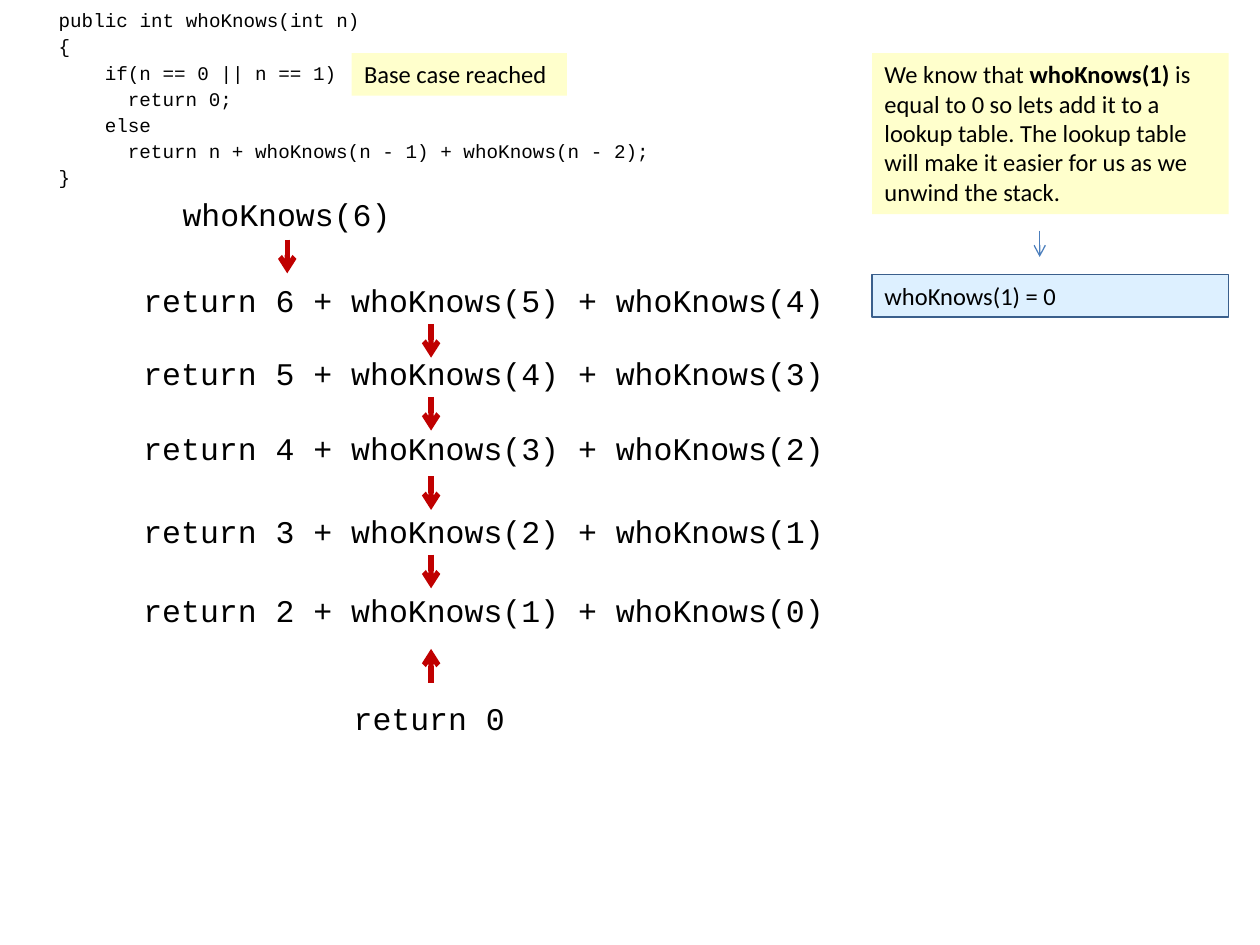
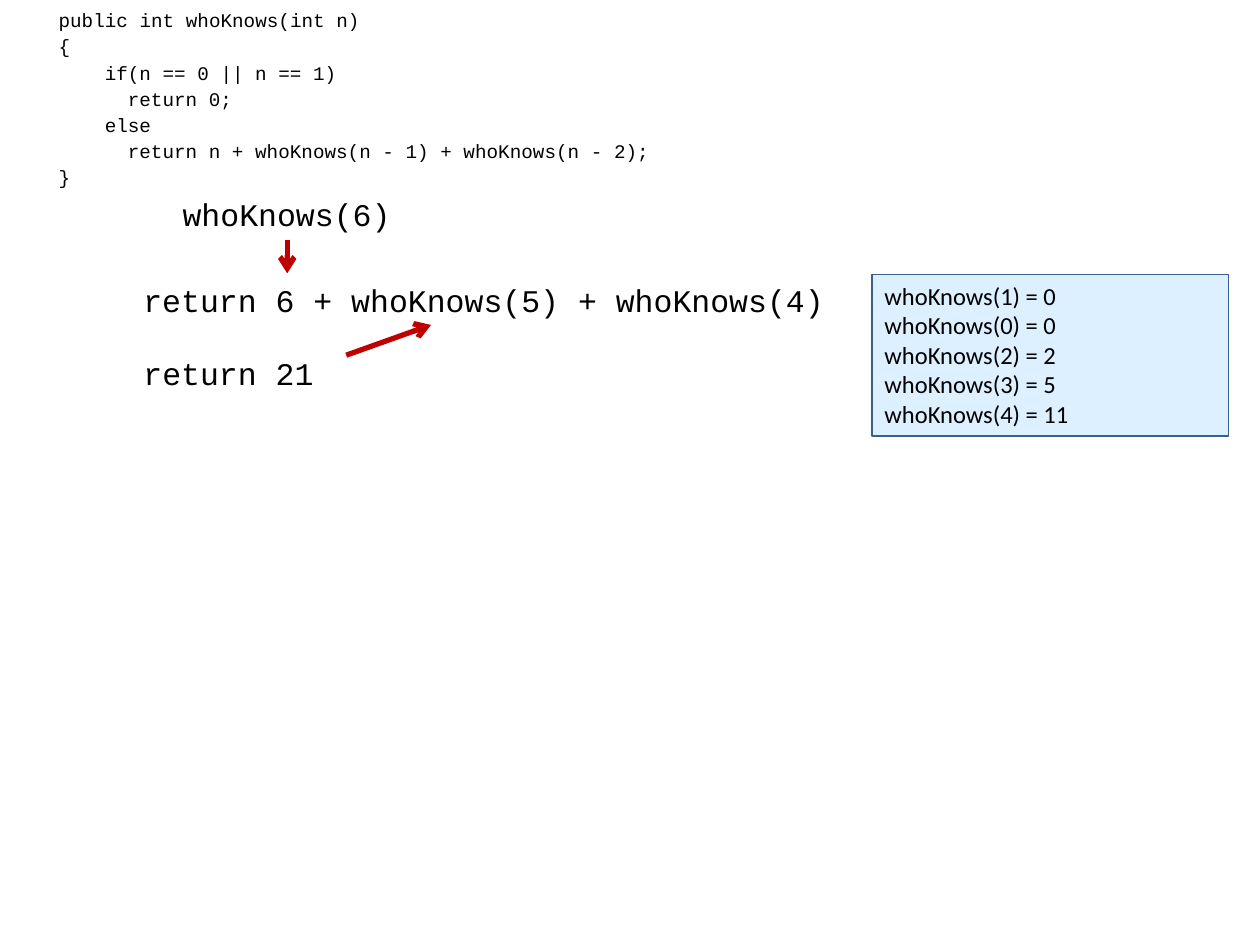
from collections import namedtuple
from lxml.etree import SubElement
from pptx import Presentation
from pptx.dml.color import RGBColor
from pptx.enum.shapes import MSO_CONNECTOR as Connector, MSO_SHAPE as Shape
from pptx.enum.text import MSO_ANCHOR as Anchor, PP_ALIGN as Align
from pptx.oxml.ns import qn
from pptx.util import Cm, Pt

BLACK = RGBColor(0x00, 0x00, 0x00)
WHITE = RGBColor(0xFF, 0xFF, 0xFF)
RED = RGBColor(0xC0, 0x00, 0x00)
NOTE_YELLOW = RGBColor(0xFF, 0xFF, 0xCC)
TABLE_BLUE = RGBColor(0xDD, 0xF0, 0xFF)
TABLE_BORDER = RGBColor(0x3A, 0x5F, 0x8C)
THIN_BLUE = RGBColor(0x4B, 0x7E, 0xBC)

CODE_FONT = "Courier New"
NOTE_FONT = "Calibri"
CODE_SIZE, CALL_SIZE, NOTE_SIZE = 11, 18, 14
CALL_CHARACTER = 0.383
NOTE_LINE = 0.6
NOTE_PADDING = 0.25
ARROW_LENGTH = 0.68

Box = namedtuple("Box", "left top width height")
CODE_BOX = Box(0, 0.05, 14.86, 6.3)
CALLS_BOX = Box(2.64, 3.81, 14.3, 11.2)
SIDE_BOX = Box(17.58, 1.07, 7.19, 7.72)
BASE_CASE_BOX = Box(7.09, 1.07, 4.34, 0.86)

CODE_LINES = [
    (4, "public int whoKnows(int n)"),
    (4, "{"),
    (8, "if(n == 0 || n == 1)"),
    (10, "return 0;"),
    (8, "else"),
    (10, "return n + whoKnows(n - 1) + whoKnows(n - 2);"),
    (4, "}"),
]


def style(paragraph, font_name, size):
    paragraph.alignment = Align.LEFT
    paragraph.font.name = font_name
    paragraph.font.size = Pt(size)
    paragraph.font.color.rgb = BLACK


def add_panel(slide, box, fill, lines, font_name, size, border=None):
    panel = slide.shapes.add_shape(Shape.RECTANGLE, *map(Cm, box))
    panel.shadow.inherit = False
    panel.fill.solid()
    panel.fill.fore_color.rgb = fill
    if border is None:
        panel.line.fill.background()
    else:
        panel.line.color.rgb = border
        panel.line.width = Pt(0.75)
    frame = panel.text_frame
    frame.word_wrap = True
    frame.vertical_anchor = Anchor.TOP
    for index, runs in enumerate(lines):
        paragraph = frame.add_paragraph() if index else frame.paragraphs[0]
        style(paragraph, font_name, size)
        for text, bold in runs:
            run = paragraph.add_run()
            run.text = text
            run.font.bold = bold
    return panel


def add_arrow(slide, start, end, color=RED, width=3):
    points = map(Cm, (*start, *end))
    arrow = slide.shapes.add_connector(Connector.STRAIGHT, *points)
    arrow.line.color.rgb = color
    arrow.line.width = Pt(width)
    properties = arrow.element.spPr
    SubElement(properties.find(qn("a:ln")), qn("a:tailEnd"), type="arrow")
    SubElement(properties, qn("a:effectLst"))


def add_call(slide, left, top, text):
    width = 0.51 + CALL_CHARACTER * len(text)
    call = slide.shapes.add_textbox(Cm(left), Cm(top), Cm(width), Cm(1.03))
    call.text_frame.word_wrap = False
    paragraph = call.text_frame.paragraphs[0]
    paragraph.text = text
    style(paragraph, CODE_FONT, CALL_SIZE)


def add_code(slide, box):
    lines = [[(text, False)] for _, text in CODE_LINES]
    panel = add_panel(slide, box, WHITE, lines, CODE_FONT, CODE_SIZE)
    for paragraph, (indent, _) in zip(panel.text_frame.paragraphs, CODE_LINES):
        paragraph.space_after = Pt(1.7)
        margin = Pt(indent * CODE_SIZE * 0.6)
        paragraph._p.get_or_add_pPr().set("marL", str(margin))


def add_first_calls(slide, box):
    add_call(slide, box.left + 0.79, box.top, "whoKnows(6)")
    add_call(slide, box.left, box.top + 1.73,
             "return 6 + whoKnows(5) + whoKnows(4)")
    x, y = box.left + 3.15, box.top + 1.02
    add_arrow(slide, (x, y), (x, y + ARROW_LENGTH))


def add_call_stack(slide, box):
    add_first_calls(slide, box)
    x = box.left + 6.05
    rows = [(5, 3.2, 2.72), (4, 4.72, 4.19), (3, 6.38, 5.79), (2, 7.98, 7.37)]
    for n, text_top, arrow_top in rows:
        add_call(slide, box.left, box.top + text_top,
                 f"return {n} + whoKnows({n - 1}) + whoKnows({n - 2})")
        y = box.top + arrow_top
        add_arrow(slide, (x, y), (x, y + ARROW_LENGTH))
    y = box.top + 9.27
    add_arrow(slide, (x, y + ARROW_LENGTH), (x, y))
    add_call(slide, box.left + 4.24, box.top + 10.16, "return 0")


def add_call_result(slide, box):
    add_first_calls(slide, box)
    add_call(slide, box.left, box.top + 3.2, "return 21")
    add_arrow(slide, (box.left + 4.34, box.top + 3.35),
              (box.left + 6.05, box.top + 2.74))


def add_note(slide, box, runs):
    add_panel(slide, box, NOTE_YELLOW, [runs], NOTE_FONT, NOTE_SIZE)


def add_lookup_table(slide, box, results):
    lines = [[(f"whoKnows({n}) = {value}", False)] for n, value in results]
    height = NOTE_PADDING + NOTE_LINE * len(lines)
    table_box = Box(box.left, box.top + 4.47, box.width, height)
    add_panel(slide, table_box, TABLE_BLUE, lines, NOTE_FONT, NOTE_SIZE,
              TABLE_BORDER)


def add_lookup_explanation(slide, box):
    add_note(slide, box._replace(height=NOTE_PADDING + 5 * NOTE_LINE), [
        ("We know that ", False),
        ("whoKnows(1)", True),
        (" is equal to 0 so lets add it to a lookup table. The lookup table "
         "will make it easier for us as we unwind the stack.", False),
    ])
    x, y = box.left + 3.38, box.top + 3.58
    add_arrow(slide, (x, y), (x, y + 0.53), THIN_BLUE, 0.75)


def add_code_slide(presentation):
    slide = presentation.slides.add_slide(presentation.slide_layouts[6])
    add_code(slide, CODE_BOX)
    return slide


def build_base_case_slide(presentation):
    slide = add_code_slide(presentation)
    add_call_stack(slide, CALLS_BOX)
    add_note(slide, BASE_CASE_BOX, [("Base case reached ", False)])
    add_lookup_explanation(slide, SIDE_BOX)
    add_lookup_table(slide, SIDE_BOX, [(1, 0)])


def build_unwound_slide(presentation):
    slide = add_code_slide(presentation)
    add_call_result(slide, CALLS_BOX)
    add_lookup_table(slide, SIDE_BOX,
                     [(1, 0), (0, 0), (2, 2), (3, 5), (4, 11)])


presentation = Presentation()
presentation.slide_width = Cm(25.4)
presentation.slide_height = Cm(19.05)
build_base_case_slide(presentation)
build_unwound_slide(presentation)
presentation.save("out.pptx")
